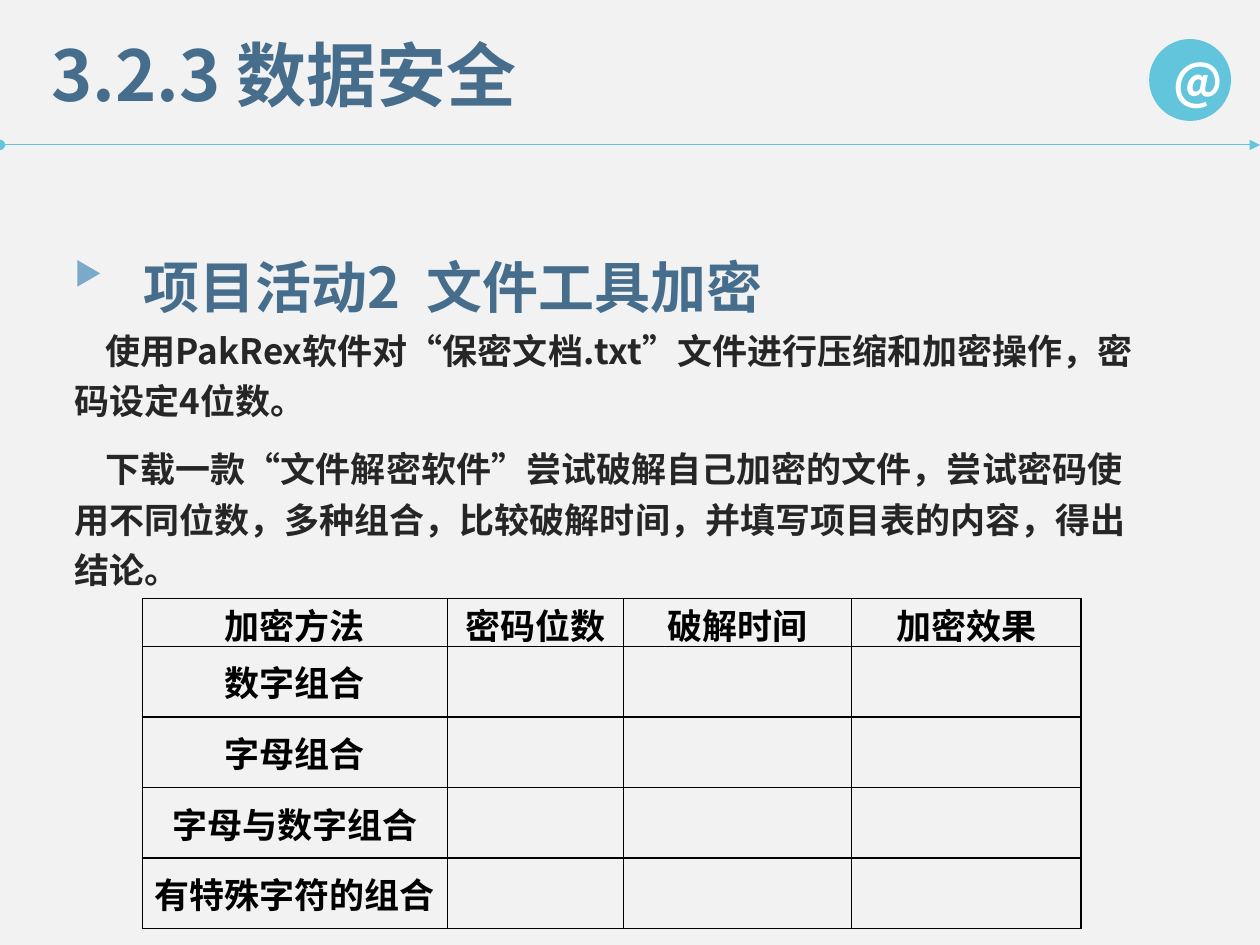
from lxml.etree import SubElement
from pptx import Presentation
from pptx.dml.color import RGBColor
from pptx.enum.shapes import MSO_CONNECTOR, MSO_SHAPE
from pptx.enum.text import MSO_ANCHOR, MSO_AUTO_SIZE, PP_ALIGN
from pptx.oxml.ns import qn
from pptx.util import Inches, Pt

FONT = "Noto Sans CJK SC"
CYAN, BLUE, PALE = "62C5DC", "466E8C", "7BA9CA"
BLACK, DARK, WHITE, GREY = "000000", "262626", "FFFFFF", "F2F2F2"


def rgb(value):
    """Turn a hex string into a colour."""
    return RGBColor.from_string(value)


def write(p, text, size=20, color=BLACK, align=None, spacing=None, after=None, indent=None):
    """Write a bold run into a paragraph."""
    if indent:
        p._p.get_or_add_pPr().set("indent", str(Inches(indent)))
    if align is not None:
        p.alignment = align
    if spacing:
        p.line_spacing = spacing
    if after:
        p.space_after = Pt(after)
    r = p.add_run()
    r.text = text
    r.font.size = Pt(size)
    r.font.bold = True
    r.font.name = FONT
    r.font.color.rgb = rgb(color)
    SubElement(r._r.get_or_add_rPr(), qn("a:ea"), typeface=FONT)


class Deck:
    """Hold the presentation and the current slide."""

    def __init__(self):
        self.prs = Presentation()
        self.prs.slide_width, self.prs.slide_height = Inches(10), Inches(7.5)
        self.s = self.prs.slides.add_slide(self.prs.slide_layouts[6])
        self.s.background.fill.solid()
        self.s.background.fill.fore_color.rgb = rgb(GREY)

    def text(self, box, *paragraphs, **style):
        """Add a wrapped text box."""
        tf = self.s.shapes.add_textbox(*map(Inches, box)).text_frame
        tf.word_wrap = True
        tf.auto_size = MSO_AUTO_SIZE.SHAPE_TO_FIT_TEXT
        for i, text in enumerate(paragraphs):
            p = tf.add_paragraph() if i else tf.paragraphs[0]
            write(p, text, **style)

    def shape(self, kind, box, color, rotation=0):
        """Add a filled shape without an outline."""
        sp = self.s.shapes.add_shape(kind, *map(Inches, box))
        sp.shadow.inherit = False
        sp.fill.solid()
        sp.fill.fore_color.rgb = rgb(color)
        sp.line.fill.background()
        sp.rotation = rotation
        return sp

    def arrow(self, x1, y1, x2, y2, color, width):
        """Add a line with a dot at its start and an arrowhead at its end."""
        c = self.s.shapes.add_connector(MSO_CONNECTOR.STRAIGHT, *map(Inches, (x1, y1, x2, y2)))
        c.line.color.rgb = rgb(color)
        c.line.width = Pt(width)
        ln = c.line._get_or_add_ln()
        SubElement(ln, qn("a:headEnd"), type="oval")
        SubElement(ln, qn("a:tailEnd"), type="triangle")
        SubElement(c._element.spPr, qn("a:effectLst"))

    def table(self, left, top, widths, heights, rows):
        """Add an unfilled table with a full grid of borders."""
        frame = self.s.shapes.add_table(
            len(heights), len(widths), Inches(left), Inches(top),
            Inches(sum(widths)), Inches(sum(heights)))
        table = frame.table
        table.first_row = table.horz_banding = False
        for column, width in zip(table.columns, widths):
            column.width = Inches(width)
        for row, height, texts in zip(table.rows, heights, rows):
            row.height = Inches(height)
            for i, cell in enumerate(row.cells):
                self.cell(cell, texts[i] if i < len(texts) else "")

    def cell(self, cell, text):
        """Format one table cell."""
        cell.vertical_anchor = MSO_ANCHOR.MIDDLE
        cell.margin_left = cell.margin_right = Inches(0.07)
        cell.margin_top = cell.margin_bottom = 0
        tcPr = cell._tc.get_or_add_tcPr()
        for side in ("lnL", "lnR", "lnT", "lnB"):
            ln = SubElement(tcPr, qn(f"a:{side}"), w=str(Pt(1)))
            SubElement(SubElement(ln, qn("a:solidFill")), qn("a:srgbClr"), val=BLACK)
        cell.fill.background()
        if text:
            write(cell.text_frame.paragraphs[0], text, align=PP_ALIGN.CENTER)


def main():
    """Build and save the slide."""
    deck = Deck()
    deck.text((0.31, 0.2, 6.94, 0.77), "3.2.3 数据安全", size=40, color=BLUE)
    deck.arrow(0, 1.15, 10, 1.15, CYAN, 0.5)
    badge = deck.shape(MSO_SHAPE.OVAL, (9.12, 0.31, 0.65, 0.65), CYAN)
    badge.text_frame.vertical_anchor = MSO_ANCHOR.MIDDLE
    write(badge.text_frame.paragraphs[0], "@", size=28, color=WHITE, align=PP_ALIGN.CENTER)
    deck.shape(MSO_SHAPE.ISOSCELES_TRIANGLE, (0.6, 2.08, 0.21, 0.18), PALE, rotation=90)
    deck.text((1.04, 1.69, 6.22, 0.81), "项目活动2  文件工具加密", size=32, color=BLUE, spacing=1.5)
    deck.text(
        (0.49, 2.5, 8.63, 2.26),
        "使用PakRex软件对“保密文档.txt”文件进行压缩和加密操作，密码设定4位数。",
        "下载一款“文件解密软件”尝试破解自己加密的文件，尝试密码使用不同位数，"
        "多种组合，比较破解时间，并填写项目表的内容，得出结论。",
        color=DARK, spacing=1.2, after=10, indent=0.25)
    methods = ["数字组合", "字母组合", "字母与数字组合", "有特殊字符的组合"]
    deck.table(
        1.13, 4.75, [2.42, 1.4, 1.81, 1.82], [0.38] + [0.56] * len(methods),
        [["加密方法", "密码位数", "破解时间", "加密效果"]] + [[m] for m in methods])
    deck.prs.save("out.pptx")


if __name__ == "__main__":
    main()
